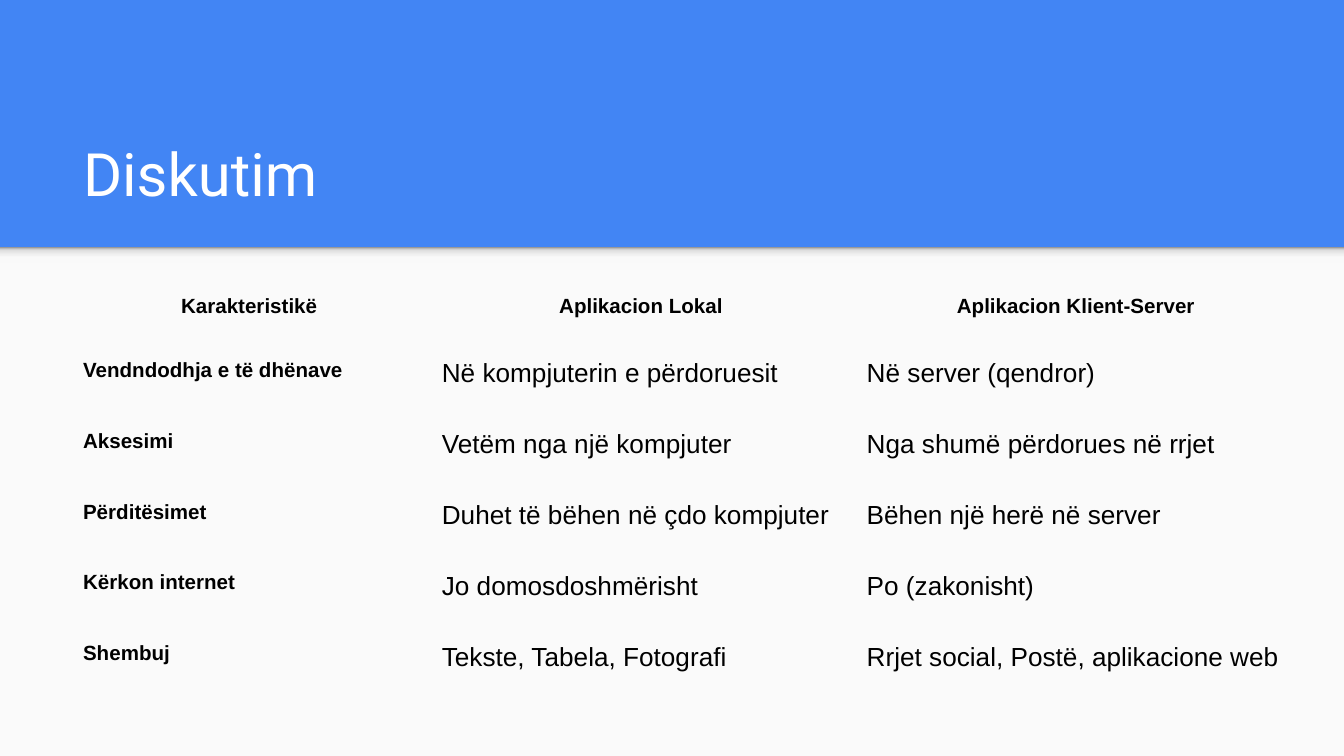
from lxml.etree import SubElement
from pptx import Presentation
from pptx.dml.color import RGBColor
from pptx.enum.shapes import MSO_SHAPE
from pptx.enum.text import MSO_ANCHOR, PP_ALIGN
from pptx.oxml.ns import qn
from pptx.util import Cm, Pt

COLORS = {"blue": "4285F4", "panel": "FAFAFA", "white": "FFFFFF", "black": "000000"}
SHADOW_STOPS = [(0, "F9F9F9"), (36, "F9F9F9"), (80, "DEDEDE"), (100, "999999")]
NO_STYLE_NO_GRID = "{2D5ABB26-0587-4C30-8999-92F81FD0307C}"
INSET = Cm(0.25)
PANEL_TOP = 4.67

ROWS = [
    ("Karakteristikë", "Aplikacion Lokal", "Aplikacion Klient-Server"),
    ("Vendndodhja e të dhënave", "Në kompjuterin e përdoruesit", "Në server (qendror)"),
    ("Aksesimi", "Vetëm nga një kompjuter", "Nga shumë përdorues në rrjet"),
    ("Përditësimet", "Duhet të bëhen në çdo kompjuter", "Bëhen një herë në server"),
    ("Kërkon internet", "Jo domosdoshmërisht", "Po (zakonisht)"),
    ("Shembuj", "Tekste, Tabela, Fotografi", "Rrjet social, Postë, aplikacione web"),
]
COL_WIDTHS = [6.78, 8.03, 8.41]
HEADER_HEIGHT, ROW_HEIGHT = 1.27, 1.34


def add_run(p, text, size, font, color, bold=False):
    r = p.add_run()
    r.text = text
    r.font.size = Pt(size)
    r.font.name = font
    r.font.bold = bold
    r.font.color.rgb = RGBColor.from_string(COLORS[color])


def add_band(s, height):
    """Add a full-width rectangle without outline, starting at the panel top."""
    band = s.shapes.add_shape(MSO_SHAPE.RECTANGLE, 0, Cm(PANEL_TOP), Cm(25.4), Cm(height))
    band.shadow.inherit = False
    band.line.fill.background()
    return band


prs = Presentation()
prs.slide_width, prs.slide_height = Cm(25.4), Cm(14.29)
s = prs.slides.add_slide(prs.slide_layouts[6])
s.background.fill.solid()
s.background.fill.fore_color.rgb = RGBColor.from_string(COLORS["blue"])

# Light panel with a soft shadow along its top edge
panel = add_band(s, 14.29 - PANEL_TOP)
panel.fill.solid()
panel.fill.fore_color.rgb = RGBColor.from_string(COLORS["panel"])

shadow = add_band(s, 0.3)
shadow.fill.gradient()
shadow.fill.gradient_angle = 90
stops = shadow._element.spPr.find(".//" + qn("a:gsLst"))
for gs in list(stops):
    stops.remove(gs)
for pos, color in SHADOW_STOPS:
    gs = SubElement(stops, qn("a:gs"), pos=str(pos * 1000))
    SubElement(gs, qn("a:srgbClr"), val=color)

# Title
title = s.shapes.add_textbox(Cm(1.32), Cm(2.06), Cm(22.83), Cm(2.13))
tf = title.text_frame
tf.word_wrap = True
tf.vertical_anchor = MSO_ANCHOR.BOTTOM
tf.margin_left = tf.margin_right = tf.margin_top = tf.margin_bottom = INSET
add_run(tf.paragraphs[0], "Diskutim", 32, "Roboto", "white")

# Comparison table
table_height = HEADER_HEIGHT + ROW_HEIGHT * (len(ROWS) - 1)
table = s.shapes.add_table(len(ROWS), len(COL_WIDTHS), Cm(1.32), Cm(5.26),
                           Cm(sum(COL_WIDTHS)), Cm(table_height)).table
table.first_row = table.horz_banding = False
table._tbl.tblPr.find(qn("a:tableStyleId")).text = NO_STYLE_NO_GRID
for column, width in zip(table.columns, COL_WIDTHS):
    column.width = Cm(width)

for i, texts in enumerate(ROWS):
    table.rows[i].height = Cm(ROW_HEIGHT if i else HEADER_HEIGHT)
    for j, text in enumerate(texts):
        cell = table.cell(i, j)
        cell.fill.background()
        cell.margin_left = cell.margin_right = INSET
        cell.margin_top = cell.margin_bottom = INSET
        p = cell.text_frame.paragraphs[0]
        if i == 0:
            p.alignment = PP_ALIGN.CENTER
            p.line_spacing = 1.15
        heading = i == 0 or j == 0
        add_run(p, text, 11 if heading else 14, "Arial", "black", heading)

prs.save("out.pptx")
